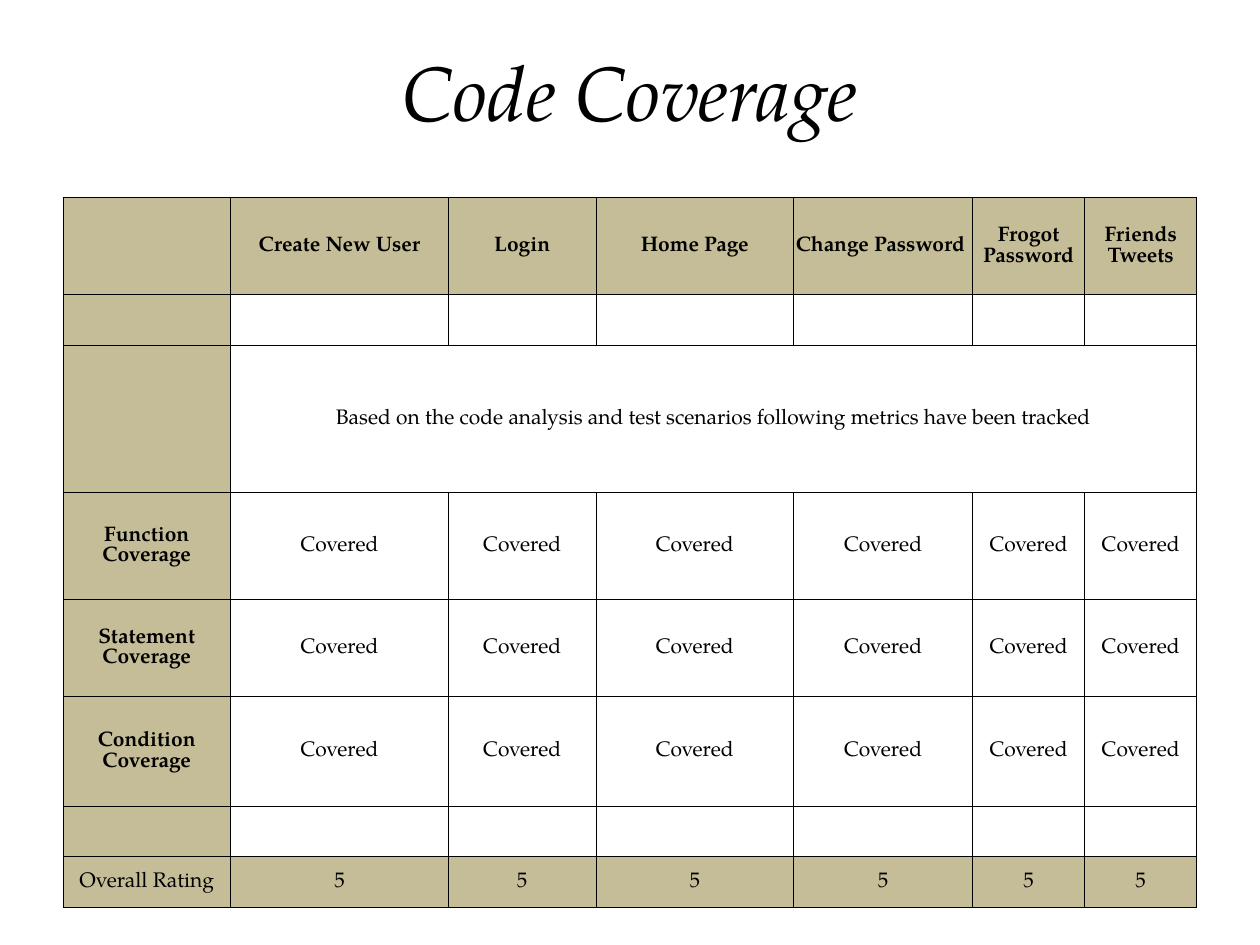
from dataclasses import dataclass

from lxml.etree import SubElement
from pptx import Presentation
from pptx.dml.color import RGBColor
from pptx.enum.text import MSO_ANCHOR, PP_ALIGN
from pptx.oxml.ns import qn
from pptx.util import Inches, Pt

BLACK = RGBColor(0x00, 0x00, 0x00)
WHITE = RGBColor(0xFF, 0xFF, 0xFF)
KHAKI = RGBColor(0xC4, 0xBD, 0x97)
FONT = "TeX Gyre Pagella"
MARGIN = 0.5
COLUMN_WIDTHS = (1.33, 1.73, 1.17, 1.57, 1.42, 0.89, 0.89)
SCREENS = ("Create New User", "Login", "Home Page", "Change Password ",
           "Frogot Password", "Friends Tweets")
SUMMARY = "Based on the code analysis and test scenarios following metrics have been tracked"


@dataclass(frozen=True)
class CoverageRow:
    height: float
    label: str = ""
    values: tuple[str, ...] = ("",) * len(SCREENS)
    bold_label: bool = True
    bold_values: bool = False
    shaded: bool = False
    merged: bool = False


def metric(height: float, label: str) -> CoverageRow:
    return CoverageRow(height, label, ("Covered",) * len(SCREENS))


ROWS = (
    CoverageRow(0.77, values=SCREENS, bold_values=True, shaded=True),
    CoverageRow(0.4),
    CoverageRow(1.17, values=(SUMMARY,) + ("",) * (len(SCREENS) - 1), merged=True),
    metric(0.85, "Function Coverage"),
    metric(0.77, "Statement Coverage"),
    metric(0.87, "Condition Coverage"),
    CoverageRow(0.4),
    CoverageRow(0.4, "Overall Rating", ("5",) * len(SCREENS),
                bold_label=False, shaded=True),
)


def write(frame, text: str, size: float, bold: bool = False, italic: bool = False) -> None:
    frame.text = text
    paragraph = frame.paragraphs[0]
    paragraph.alignment = PP_ALIGN.CENTER
    for run in paragraph.runs:
        font = run.font
        font.name, font.size = FONT, Pt(size)
        font.bold, font.italic = bold, italic
        font.color.rgb = BLACK


def add_borders(cell) -> None:
    """Put a thin line on all four sides; call before the cell gets its fill."""
    properties = cell._tc.get_or_add_tcPr()
    for side in ("a:lnL", "a:lnR", "a:lnT", "a:lnB"):
        line = SubElement(properties, qn(side), w=str(Pt(0.5)))
        solid = SubElement(line, qn("a:solidFill"))
        SubElement(solid, qn("a:srgbClr"), val=str(BLACK))


def style_cell(cell, text: str, bold: bool, shaded: bool) -> None:
    add_borders(cell)
    cell.fill.solid()
    cell.fill.fore_color.rgb = KHAKI if shaded else WHITE
    cell.margin_left = cell.margin_right = cell.margin_top = Inches(0.01)
    cell.margin_bottom = 0
    cell.vertical_anchor = MSO_ANCHOR.MIDDLE
    if text:
        write(cell.text_frame, text, 12, bold)


def add_title(slide, text: str) -> None:
    title = slide.shapes.add_textbox(Inches(MARGIN), Inches(0.3), Inches(9), Inches(0.84))
    frame = title.text_frame
    frame.word_wrap = True
    frame.vertical_anchor = MSO_ANCHOR.MIDDLE
    write(frame, text, 44, italic=True)


def add_coverage_table(slide, rows: tuple[CoverageRow, ...]) -> None:
    table = slide.shapes.add_table(
        len(rows), len(COLUMN_WIDTHS), Inches(MARGIN), Inches(1.57),
        Inches(sum(COLUMN_WIDTHS)), Inches(sum(row.height for row in rows))).table
    table.first_row = table.horz_banding = False
    for column, width in zip(table.columns, COLUMN_WIDTHS):
        column.width = Inches(width)
    for index, row in enumerate(rows):
        table.rows[index].height = Inches(row.height)
        style_cell(table.cell(index, 0), row.label, row.bold_label, True)
        for column, value in enumerate(row.values, start=1):
            style_cell(table.cell(index, column), value, row.bold_values, row.shaded)
        if row.merged:
            table.cell(index, 1).merge(table.cell(index, len(SCREENS)))


def main() -> None:
    presentation = Presentation()
    presentation.slide_width, presentation.slide_height = Inches(10), Inches(7.5)
    slide = presentation.slides.add_slide(presentation.slide_layouts[6])
    add_title(slide, "Code Coverage")
    add_coverage_table(slide, ROWS)
    presentation.save("out.pptx")


if __name__ == "__main__":
    main()
